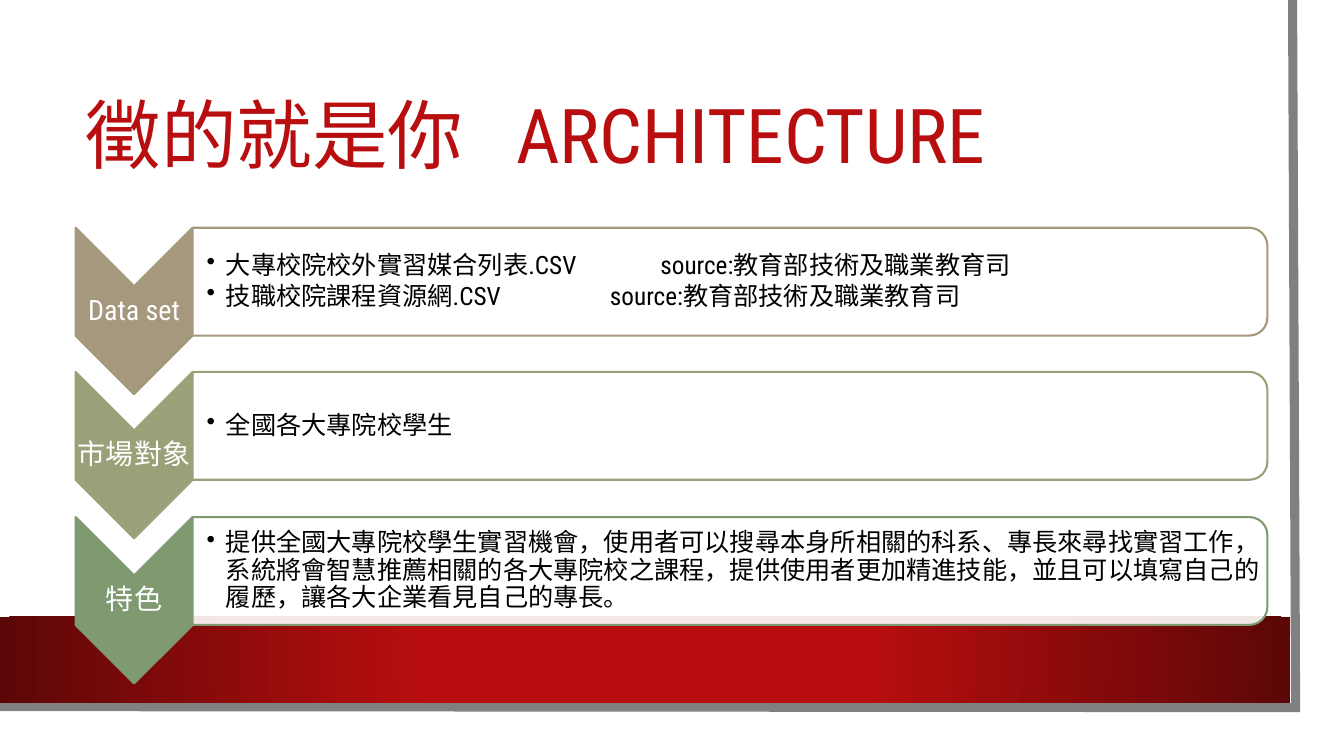
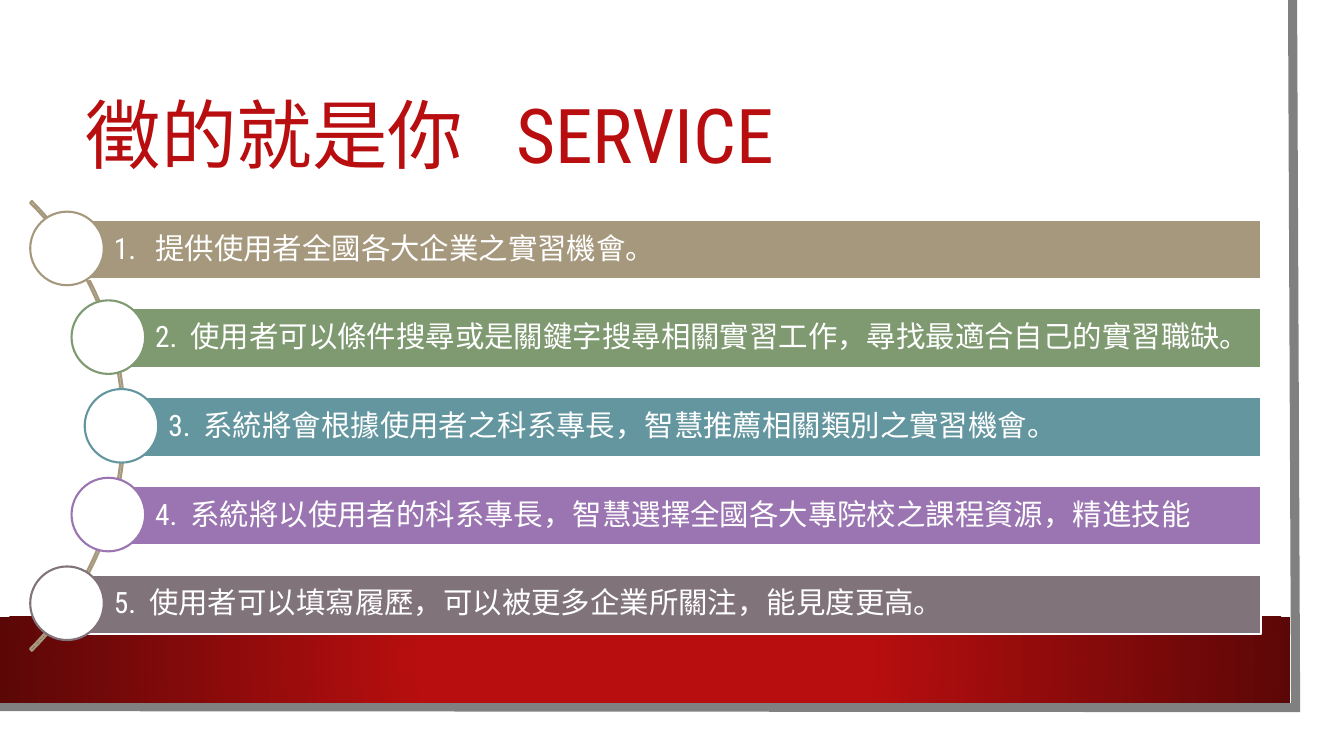
from math import sqrt

from lxml import etree
from pptx import Presentation
from pptx import util as u
from pptx.dml.color import RGBColor
from pptx.enum import shapes, text
from pptx.oxml import ns, parse_xml

PX = 9144  # EMU per px, 100 px to the inch
FONT = "Roboto Condensed"
COLORS = {
    "white": "FFFFFF", "black": "000000", "frame": "808080",
    "red": "B80E0F", "dark_red": "5C0707",
    "tan": "A6987D", "olive": "9AA077", "green": "7F9A71",
    "teal": "64969F", "purple": "9B75B2", "mauve": "80737A",
}
KIND = shapes.MSO_SHAPE
ALIGN = text.PP_ALIGN

SECTIONS = [
    ("Data set", "tan", ["大專校院校外實習媒合列表.CSV\t\tsource:教育部技術及職業教育司",
                         "技職校院課程資源網.CSV\t\t\tsource:教育部技術及職業教育司"]),
    ("市場對象", "olive", ["全國各大專院校學生"]),
    ("特色", "green", ["提供全國大專院校學生實習機會，使用者可以搜尋本身所相關的科系、專長來尋找實習工作，"
                     "系統將會智慧推薦相關的各大專院校之課程，提供使用者更加精進技能，"
                     "並且可以填寫自己的履歷，讓各大企業看見自己的專長。"]),
]
# colour, tab stop after the number, text
SERVICES = [
    ("tan", 41, "1.\t提供使用者全國各大企業之實習機會。"),
    ("green", 35, "2.\t使用者可以條件搜尋或是關鍵字搜尋相關實習工作，尋找最適合自己的實習職缺。"),
    ("teal", 35, "3.\t系統將會根據使用者之科系專長，智慧推薦相關類別之實習機會。"),
    ("purple", 35, "4.\t系統將以使用者的科系專長，智慧選擇全國各大專院校之課程資源，精進技能"),
    ("mauve", 35, "5.\t使用者可以填寫履歷，可以被更多企業所關注，能見度更高。"),
]


def px(*lengths):
    return [u.Emu(round(n * PX)) for n in lengths]


def rgb(name):
    return RGBColor.from_string(COLORS[name])


def sub(parent, tag, **attrs):
    return etree.SubElement(parent, ns.qn(tag), {k: str(v) for k, v in attrs.items()})


def style(sp, fill=None, line=None, width=1.5):
    sp.shadow.inherit = False
    if fill:
        sp.fill.solid()
        sp.fill.fore_color.rgb = rgb(fill)
    else:
        sp.fill.background()
    if line:
        sp.line.color.rgb = rgb(line)
        sp.line.width = u.Pt(width)
    else:
        sp.line.fill.background()


def add_shape(s, kind, box, fill=None, line=None):
    sp = s.shapes.add_shape(kind, *px(*box))
    style(sp, fill, line)
    return sp


def add_turned(s, kind, box, fill, line):
    """Add a shape turned by 90 degrees that covers the upright box."""
    x, y, w, h = box
    sp = add_shape(s, kind, (x + (w - h) / 2, y + (h - w) / 2, h, w), fill, line)
    sp.rotation = 90
    return sp


def write(sp, lines, size, color, insets, align=ALIGN.LEFT, tab=None, bullet=False):
    tf = sp.text_frame
    tf.word_wrap = True
    tf.vertical_anchor = text.MSO_ANCHOR.MIDDLE
    tf.margin_left, tf.margin_top, tf.margin_right, tf.margin_bottom = px(*insets)
    tf.text = "\n".join(lines)
    for p in tf.paragraphs:
        p.alignment = align
        p.line_spacing = 0.9
        p.font.name = FONT
        p.font.size = u.Pt(size)
        p.font.color.rgb = rgb(color)
        pPr = p._p.get_or_add_pPr()
        if bullet:
            p.space_after = u.Pt(size * 0.15)
            pPr.set("marL", str(19 * PX))
            pPr.set("indent", str(-19 * PX))
            bullet_char = sub(pPr, "a:buChar", char="•")
            pPr.remove(bullet_char)
            pPr.insert_element_before(bullet_char, "a:tabLst", "a:defRPr")
        if tab:
            tabs = etree.Element(ns.qn("a:tabLst"))
            sub(tabs, "a:tab", pos=tab * PX, algn="l")
            pPr.insert_element_before(tabs, "a:defRPr")


def add_text(s, box, lines, size, color, insets, **options):
    write(s.shapes.add_textbox(*px(*box)), lines, size, color, insets, **options)


def add_frame(s):
    """Paper, grey edge and red band behind every slide."""
    add_shape(s, KIND.RECTANGLE, (0, 0, 1310, 727), "white")
    builder = s.shapes.build_freeform(1282, 0, scale=PX)
    builder.add_line_segments([(1285, 702), (-3, 701)], close=False)
    edge = builder.convert_to_shape()
    style(edge, line="frame", width=6.5)
    sub(edge.line._ln, "a:miter", lim=800000)

    band = add_shape(s, KIND.RECTANGLE, (0, 612, 1280, 85), "red")
    solid = band._element.spPr.find(ns.qn("a:solidFill"))
    stops = "".join(f'<a:gs pos="{pos}"><a:srgbClr val="{COLORS[c]}"/></a:gs>'
                    for pos, c in ((34000, "red"), (100000, "dark_red")))
    solid.getparent().replace(solid, parse_xml(
        f'<a:gradFill {ns.nsdecls("a")} rotWithShape="1"><a:gsLst>{stops}</a:gsLst>'
        '<a:path path="circle"><a:fillToRect l="50000" t="50000" r="50000" b="50000"/>'
        '</a:path></a:gradFill>'))


def add_slide(prs, title):
    s = prs.slides.add_slide(prs.slide_layouts[6])
    add_frame(s)
    add_text(s, (75, 75, 1137, 126), [f"徵的就是你\t{title}"], 54, "red",
             (10, 5, 10, 5), tab=427)
    return s


def add_section(s, x, y, label, color, lines):
    """Down-pointing chevron with a label, and a bulleted panel to its right."""
    chevron_w, panel_w, panel_h = 116, 1066, 107
    panel_x = x + chevron_w
    add_turned(s, KIND.CHEVRON, (x, y, chevron_w, 165), color, color)
    add_text(s, (x, y + 58, chevron_w, 50), [label], 20, "white", (1, 1, 1, 1),
             align=ALIGN.CENTER)
    panel = add_turned(s, KIND.ROUND_2_SAME_RECTANGLE,
                       (panel_x, y, panel_w, panel_h), "white", color)
    fill = panel._element.spPr.find(ns.qn("a:solidFill"))
    sub(fill[0], "a:alpha", val=90000)
    add_text(s, (panel_x, y + 5, panel_w - 5, panel_h - 10), lines, 18, "black",
             (14, 1, 1, 1), bullet=True)


def add_service(s, cx, cy, right, color, tab, line):
    """Bar from the centre of a circle to the right edge."""
    bar = add_shape(s, KIND.RECTANGLE, (cx, cy - 29, right - cx, 59), color, "white")
    write(bar, [line], 21, "white", (46, 6, 6, 6), tab=tab)
    add_shape(s, KIND.OVAL, (cx - 37, cy - 37, 73, 73), "white", color)


def architecture_slide(prs):
    s = add_slide(prs, "ARCHITECTURE")
    for i, section in enumerate(SECTIONS):
        add_section(s, 75, 226 + i * 287 // 2, *section)


def service_slide(prs):
    s = add_slide(prs, "SERVICE")
    arc_x, arc_y, radius, step = -192, 423, 313, 88
    arc = add_shape(s, KIND.BLOCK_ARC, (-507, 107, 631, 631), line="tan")
    for i, value in enumerate((189, 27, 0.004)):
        arc.adjustments[i] = value
    for i, service in enumerate(SERVICES):
        dy = (i - len(SERVICES) // 2) * step
        cx = round(arc_x + sqrt(radius ** 2 - dy ** 2))
        add_service(s, cx, arc_y + dy, 1251, *service)


def main():
    prs = Presentation()
    prs.slide_width, prs.slide_height = px(1333, 750)
    architecture_slide(prs)
    service_slide(prs)
    prs.save("out.pptx")


if __name__ == "__main__":
    main()
